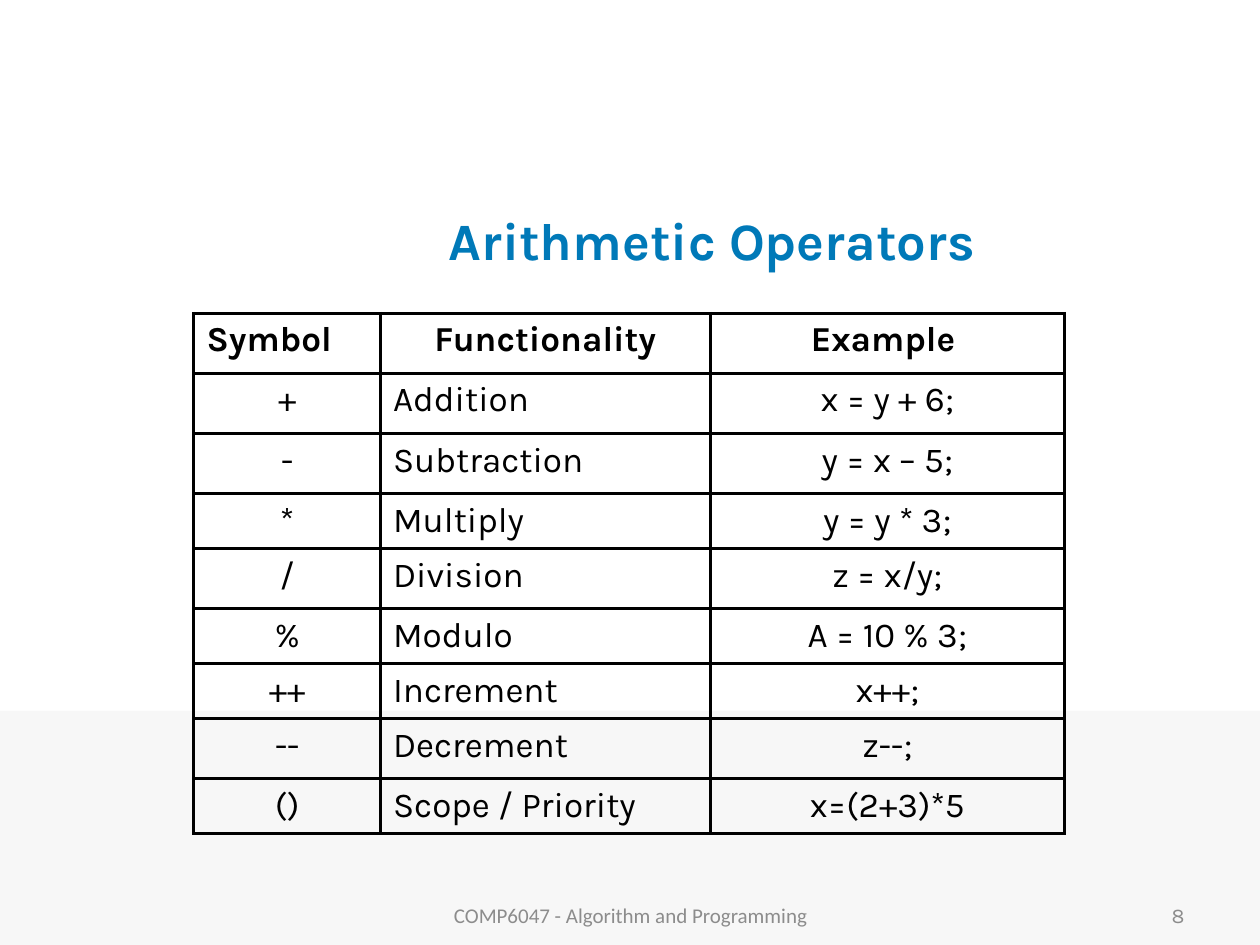
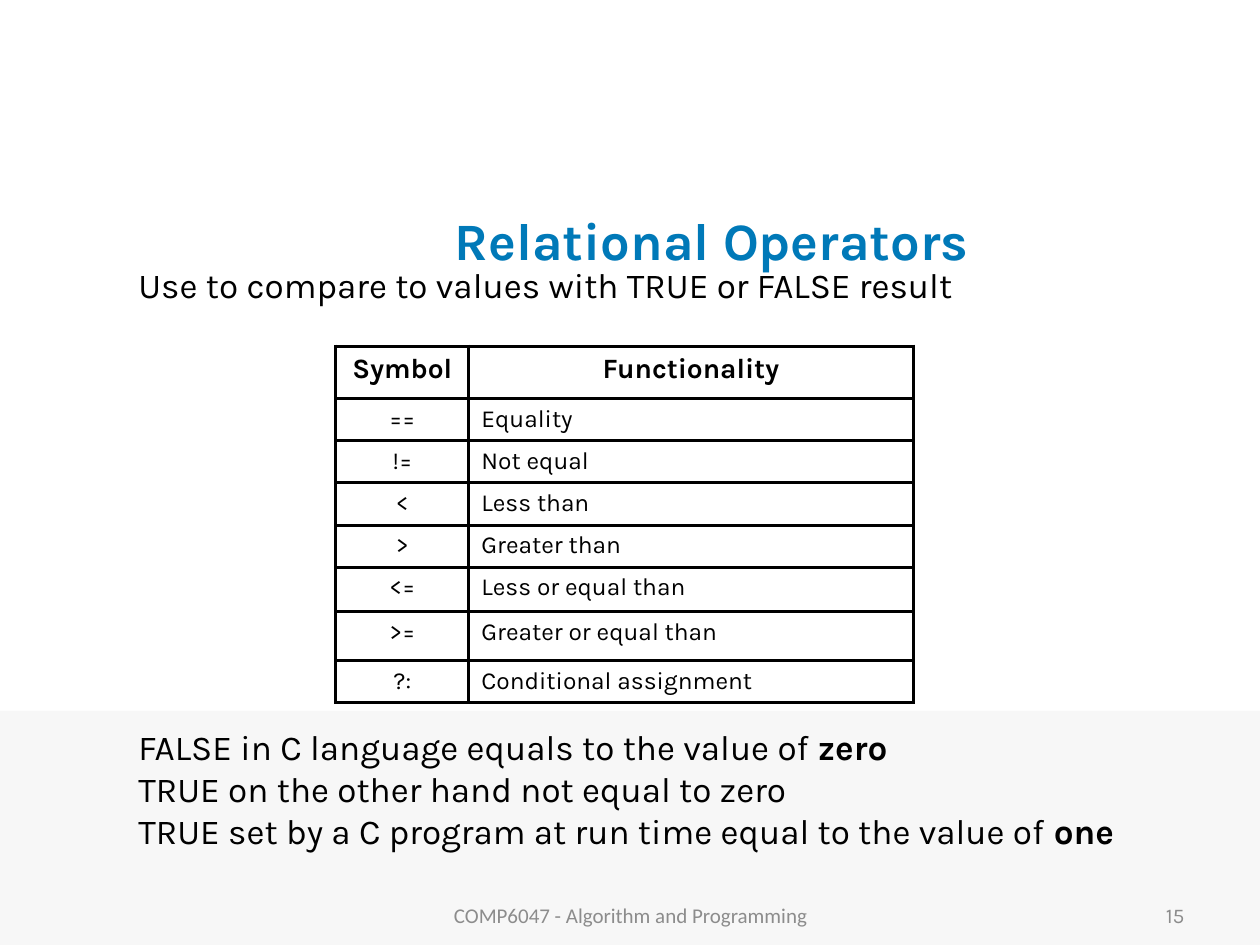
from lxml import etree
from pptx import Presentation
from pptx.dml.color import RGBColor
from pptx.enum.shapes import MSO_SHAPE
from pptx.enum.text import MSO_ANCHOR, PP_ALIGN
from pptx.oxml.ns import qn
from pptx.util import Cm, Pt

LEFT, CENTER, RIGHT = PP_ALIGN.LEFT, PP_ALIGN.CENTER, PP_ALIGN.RIGHT
TOP, MIDDLE = MSO_ANCHOR.TOP, MSO_ANCHOR.MIDDLE
RECTANGLE = MSO_SHAPE.RECTANGLE

BLUE, GREY, BLACK, PALE = "0079B8", "8C8C8C", "000000", "F7F7F7"
KARLA, CALIBRI = "Karla", "Calibri"
COURSE = "COMP6047 - Algorithm and Programming"

# Each slide: title, page number, explanatory lines and table
slides = [
    {
        "title": "Arithmetic Operators ",
        "page": "8",
        "notes": [],
        "place": (3.91, 6.32),
        "columns": [3.76, 6.65, 7.14],
        "heights": [1.21, 1.21, 1.21, 1.11, 1.21, 1.11, 1.11, 1.21, 1.11],
        "header_align": [LEFT, CENTER, CENTER],
        "sizes": (20, 20),
        "hanging": 0,
        "rows": [
            ("Symbol", "Functionality", "Example "),
            ("+", "Addition", "x = y + 6;"),
            ("-", "Subtraction", "y = x – 5;"),
            ("*", "Multiply", "y = y * 3;"),
            ("/", "Division", "z = x/y;"),
            ("%", "Modulo", "A = 10 % 3;"),
            ("++", "Increment", "x++;"),
            ("--", "Decrement", "z--;"),
            ("()", "Scope / Priority", "x=(2+3)*5"),
        ],
    },
    {
        "title": "Relational Operators ",
        "page": "15",
        # Text, bold ending, space before in points (the wide gap clears the table)
        "notes": [
            ("Use to compare to values with TRUE or FALSE result", "", 0),
            ("FALSE in C language equals to the value of ", "zero", 240),
            ("TRUE on the other hand not equal to zero", "", 0),
            ("TRUE set by a C program at run time equal to the value of ", "one", 0),
        ],
        "place": (6.77, 6.98),
        "columns": [2.68, 8.96],
        "heights": [1.06, 0.74, 0.79, 0.82, 0.84, 0.89, 0.99, 0.84],
        "header_align": [CENTER, CENTER],
        "sizes": (16, 14),
        "hanging": 0.95,
        "rows": [
            ("Symbol", "Functionality"),
            ("==", "Equality"),
            ("!=", "Not equal"),
            ("<", "Less than"),
            (">", "Greater than"),
            ("<=", "Less or equal than"),
            (">=", "Greater or equal than"),
            ("?:", "Conditional assignment"),
        ],
    },
]


def rgb(hex_colour):
    return RGBColor.from_string(hex_colour)


def write(frame, text, size, colour=BLACK, font=KARLA, bold=False,
          align=LEFT, anchor=TOP, margin=0, indent=0):
    """Write one paragraph into a text frame and return it."""
    frame.word_wrap = True
    frame.vertical_anchor = anchor
    paragraph = frame.paragraphs[0]
    if paragraph.runs:
        paragraph = frame.add_paragraph()
    paragraph.add_run().text = text
    paragraph.alignment = align
    paragraph.font.name = font
    paragraph.font.size = Pt(size)
    paragraph.font.bold = bold
    paragraph.font.color.rgb = rgb(colour)
    if margin:
        properties = paragraph._p.get_or_add_pPr()
        properties.set("marL", str(Cm(margin)))
        properties.set("indent", str(Cm(indent)))
    return paragraph


deck = Presentation()
deck.slide_width, deck.slide_height = Cm(25.4), Cm(19.05)

for content in slides:
    slide = deck.slides.add_slide(deck.slide_layouts[6])
    shapes = slide.shapes

    # Pale band across the bottom
    band = shapes.add_shape(RECTANGLE, 0, Cm(14.33), Cm(25.4), Cm(4.72))
    band.shadow.inherit = False
    band.fill.solid()
    band.fill.fore_color.rgb = rgb(PALE)
    band.line.fill.background()

    # Title
    title = shapes.add_textbox(Cm(4.88), Cm(3.81), Cm(19), Cm(2.21))
    heading = write(title.text_frame, content["title"], 30, BLUE, bold=True,
                    align=CENTER, anchor=MIDDLE, margin=1.3, indent=-1.09)
    heading.line_spacing = 0.9

    # Page number
    page = shapes.add_textbox(Cm(18.21), Cm(17.93), Cm(5.92), Cm(1.02))
    write(page.text_frame, content["page"], 12, GREY, align=RIGHT, anchor=MIDDLE)

    # Explanation above and below the table
    if content["notes"]:
        explanation = shapes.add_textbox(Cm(2.54), Cm(5.18), Cm(21.16), Cm(12.14))
        for text, ending, gap in content["notes"]:
            line = write(explanation.text_frame, text, 20)
            line.space_before = Pt(gap)
            if ending:
                emphasis = line.add_run()
                emphasis.text = ending
                emphasis.font.bold = True

    # Operator table
    columns, heights = content["columns"], content["heights"]
    left, top = content["place"]
    operators = shapes.add_table(len(heights), len(columns), Cm(left), Cm(top),
                                 Cm(sum(columns)), Cm(sum(heights))).table
    operators.first_row = operators.horz_banding = False
    for column, width in zip(operators.columns, columns):
        column.width = Cm(width)
    header_size, body_size = content["sizes"]
    hanging = content["hanging"]
    for r, (values, height) in enumerate(zip(content["rows"], heights)):
        operators.rows[r].height = Cm(height)
        is_header = r == 0
        for c, value in enumerate(values):
            cell = operators.cell(r, c)
            body_align = LEFT if c == 1 else CENTER
            write(cell.text_frame, value, header_size if is_header else body_size,
                  bold=is_header,
                  align=content["header_align"][c] if is_header else body_align,
                  margin=hanging, indent=-hanging)
            # Black rules on every side, no fill
            cell_properties = cell._tc.get_or_add_tcPr()
            for side in ("a:lnL", "a:lnR", "a:lnT", "a:lnB"):
                rule = etree.SubElement(cell_properties, qn(side), w=str(Pt(2)))
                ink = etree.SubElement(rule, qn("a:solidFill"))
                etree.SubElement(ink, qn("a:srgbClr"), val=BLACK)
            cell.fill.background()

    # Course footer
    footer = shapes.add_textbox(Cm(8.69), Cm(17.93), Cm(8.05), Cm(1.02))
    write(footer.text_frame, COURSE, 12, GREY, CALIBRI, align=CENTER, anchor=MIDDLE)

deck.save("out.pptx")
